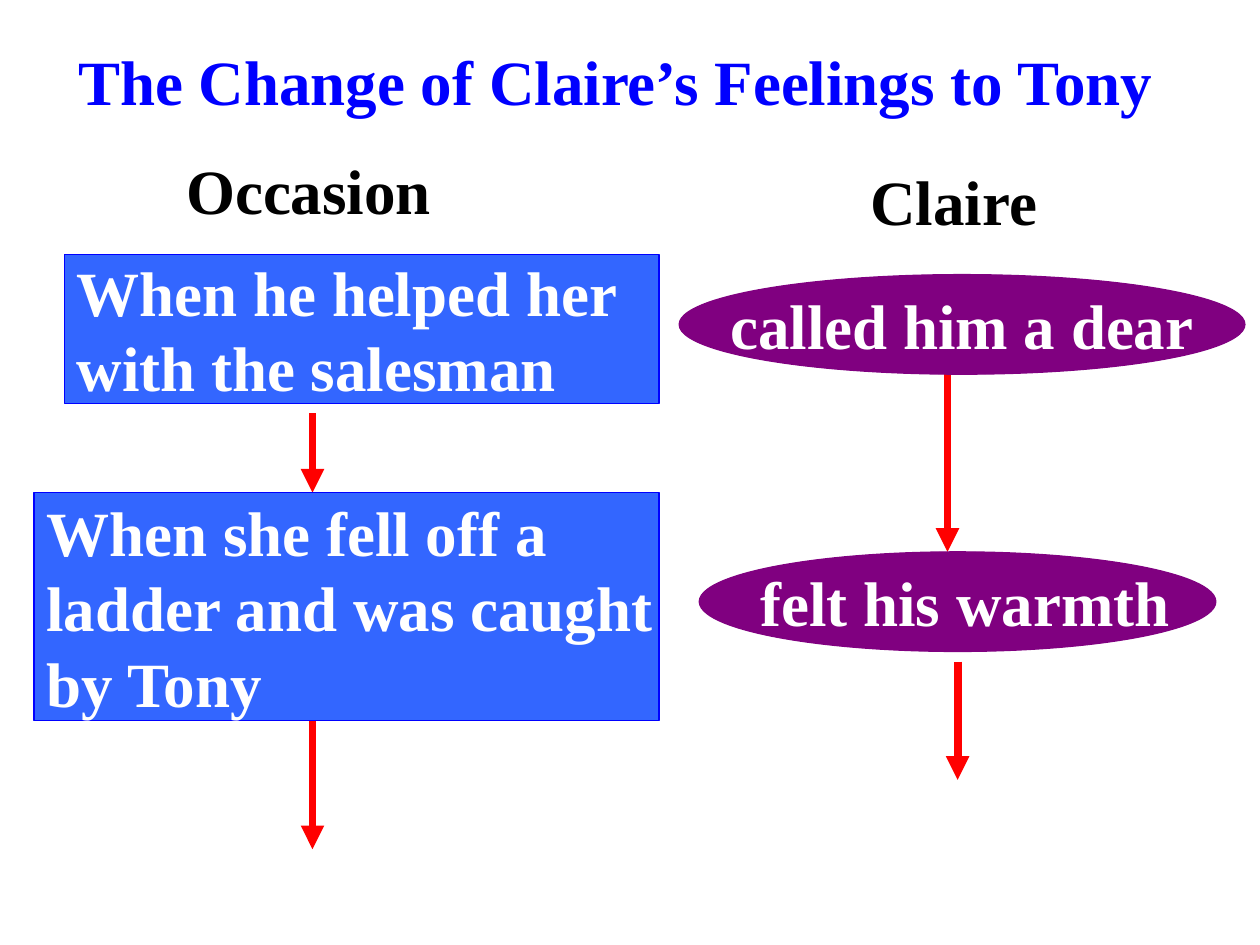
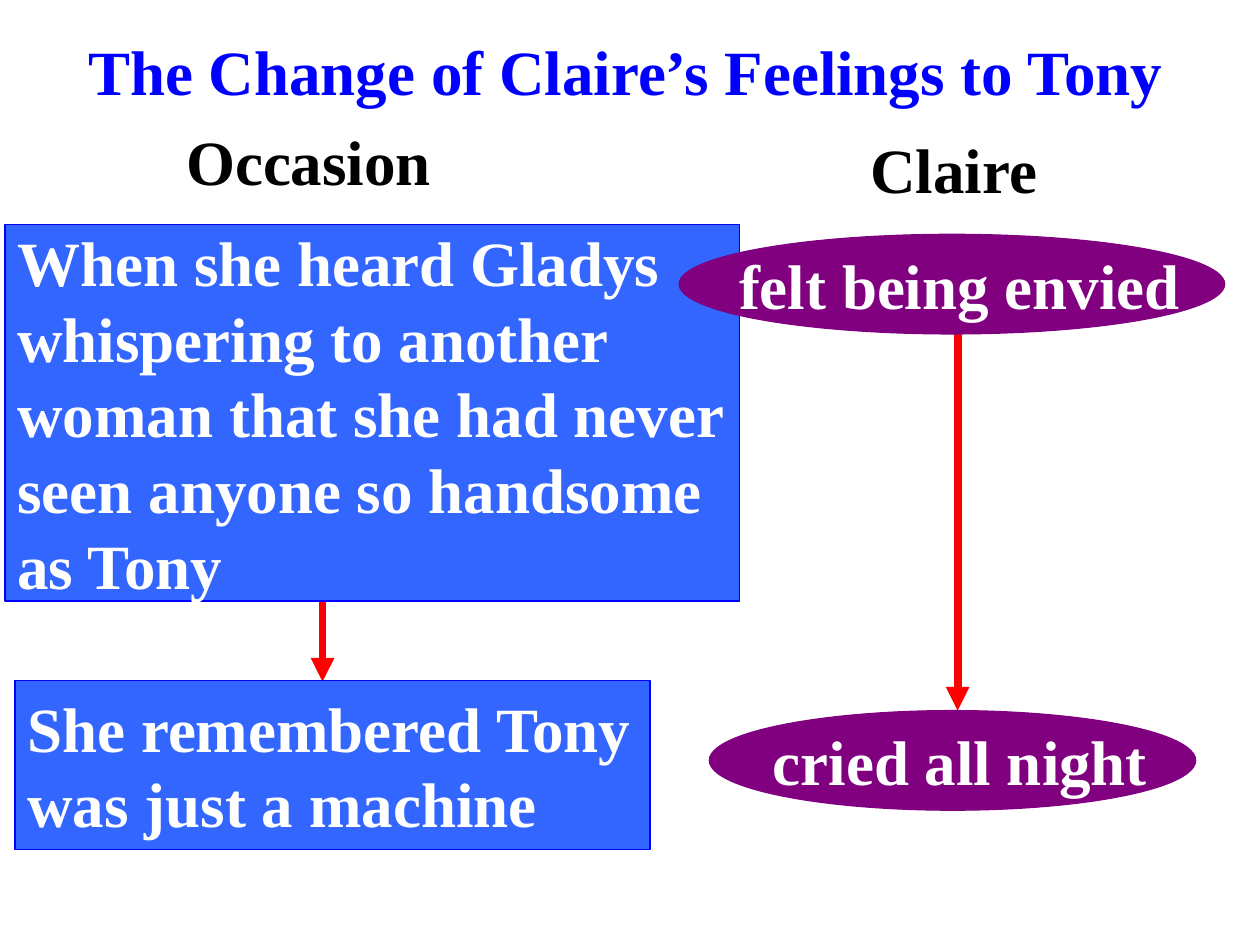
from lxml import etree
from pptx import Presentation
from pptx.dml.color import RGBColor
from pptx.enum.shapes import MSO_CONNECTOR, MSO_SHAPE
from pptx.enum.text import MSO_ANCHOR, MSO_AUTO_SIZE, PP_ALIGN
from pptx.oxml.ns import qn
from pptx.util import Inches, Pt

RECTANGLE, OVAL = MSO_SHAPE.RECTANGLE, MSO_SHAPE.OVAL
STRAIGHT = MSO_CONNECTOR.STRAIGHT
TOP, MIDDLE = MSO_ANCHOR.TOP, MSO_ANCHOR.MIDDLE
LEFT, CENTER = PP_ALIGN.LEFT, PP_ALIGN.CENTER
NO_FIT = MSO_AUTO_SIZE.NONE

COLORS = {
    "title": "0000FF", "heading": "000000", "light": "FFFFFF",
    "occasion": "3366FF", "occasion_edge": "0000FF",
    "feeling": "800080", "arrow": "FF0000",
}
FONT, SIZE, LINE_PITCH = "Times New Roman", 36, 43.2
WIDTH, HEIGHT = 10, 7.5
TITLE = "The Change of Claire’s Feelings to Tony"
TITLE_WIDTH, LINE_BOX, FEELING_HEIGHT = 8.81, 0.7, 0.79
HEADINGS = [("Occasion", 1.38, 2.14), ("Claire", 6.81, 1.53)]
NUDGE = 0.12

SCENES = [
    {
        "title_at": (0.52, 0.29),
        "heading_tops": (1.15, 1.24),
        "occasions": [
            ("When he helped her\nwith the salesman", 0.51, 2.02, 4.72, 1.18),
            ("When she fell off a\nladder and was caught\nby Tony", 0.27, 3.91, 4.96, 1.81),
        ],
        "feelings": [
            ("called him a dear", 5.39, 2.18, 4.49, 0),
            ("felt his warmth", 5.55, 4.38, 4.1, NUDGE),
        ],
        "arrows": [(2.48, 3.28, 3.91), (2.48, 5.72, 6.74),
                   (7.52, 2.96, 4.38), (7.6, 5.25, 6.19)],
    },
    {
        "title_at": (0.6, 0.21),
        "heading_tops": (0.92, 0.99),
        "occasions": [
            ("When she heard Gladys\nwhispering to another\nwoman that she had never\n"
             "seen anyone so handsome\nas Tony", 0.04, 1.78, 5.83, 2.99),
            ("She remembered Tony\nwas just a machine", 0.12, 5.4, 5.04, 1.34),
        ],
        "feelings": [
            ("felt being envied", 5.39, 1.86, 4.33, NUDGE),
            ("cried all night", 5.63, 5.64, 3.86, NUDGE),
        ],
        "arrows": [(2.56, 4.78, 5.41), (7.6, 2.65, 5.64)],
    },
]


def color(name):
    return RGBColor.from_string(COLORS[name])


def write(holder, text, ink, align=LEFT, anchor=TOP, nudge=0):
    frame = holder.text_frame
    frame.text = text
    frame.word_wrap = False
    frame.auto_size = NO_FIT
    frame.vertical_anchor = anchor
    frame.margin_left = Inches(0.1 + nudge)
    for line in frame.paragraphs:
        line.alignment = align
        line.line_spacing = Pt(LINE_PITCH)
        for run in line.runs:
            run.font.name = FONT
            run.font.size = Pt(SIZE)
            run.font.bold = True
            run.font.color.rgb = color(ink)


def add_panel(slide, kind, box, fill, edge):
    panel = slide.shapes.add_shape(kind, *map(Inches, box))
    panel.shadow.inherit = False
    panel.fill.solid()
    panel.fill.fore_color.rgb = color(fill)
    panel.line.color.rgb = color(edge)
    panel.line.width = Pt(0.75)
    return panel


def add_arrow(slide, x, start, end):
    arrow = slide.shapes.add_connector(STRAIGHT, *map(Inches, (x, start, x, end)))
    arrow.line.color.rgb = color("arrow")
    arrow.line.width = Pt(4.5)
    etree.SubElement(arrow.line._get_or_add_ln(), qn("a:tailEnd"), type="triangle")
    etree.SubElement(arrow._element.spPr, qn("a:effectLst"))


def add_scene(deck, scene):
    slide = deck.slides.add_slide(deck.slide_layouts.get_by_name("Title Only"))
    title = slide.shapes.title
    title.left, title.top = map(Inches, scene["title_at"])
    title.width, title.height = Inches(TITLE_WIDTH), Inches(LINE_BOX)
    write(title, TITLE, "title")

    for (text, left, width), top in zip(HEADINGS, scene["heading_tops"]):
        heading = slide.shapes.add_textbox(*map(Inches, (left, top, width, LINE_BOX)))
        write(heading, text, "heading")
    for arrow in scene["arrows"]:
        add_arrow(slide, *arrow)
    for text, *box in scene["occasions"]:
        occasion = add_panel(slide, RECTANGLE, box, "occasion", "occasion_edge")
        write(occasion, text, "light", anchor=MIDDLE)
    for text, left, top, width, nudge in scene["feelings"]:
        feeling = add_panel(slide, OVAL, (left, top, width, FEELING_HEIGHT), "feeling", "feeling")
        write(feeling, text, "light", CENTER, MIDDLE, nudge)


def main():
    deck = Presentation()
    deck.slide_width, deck.slide_height = Inches(WIDTH), Inches(HEIGHT)
    for scene in SCENES:
        add_scene(deck, scene)
    deck.save("out.pptx")


if __name__ == "__main__":
    main()
